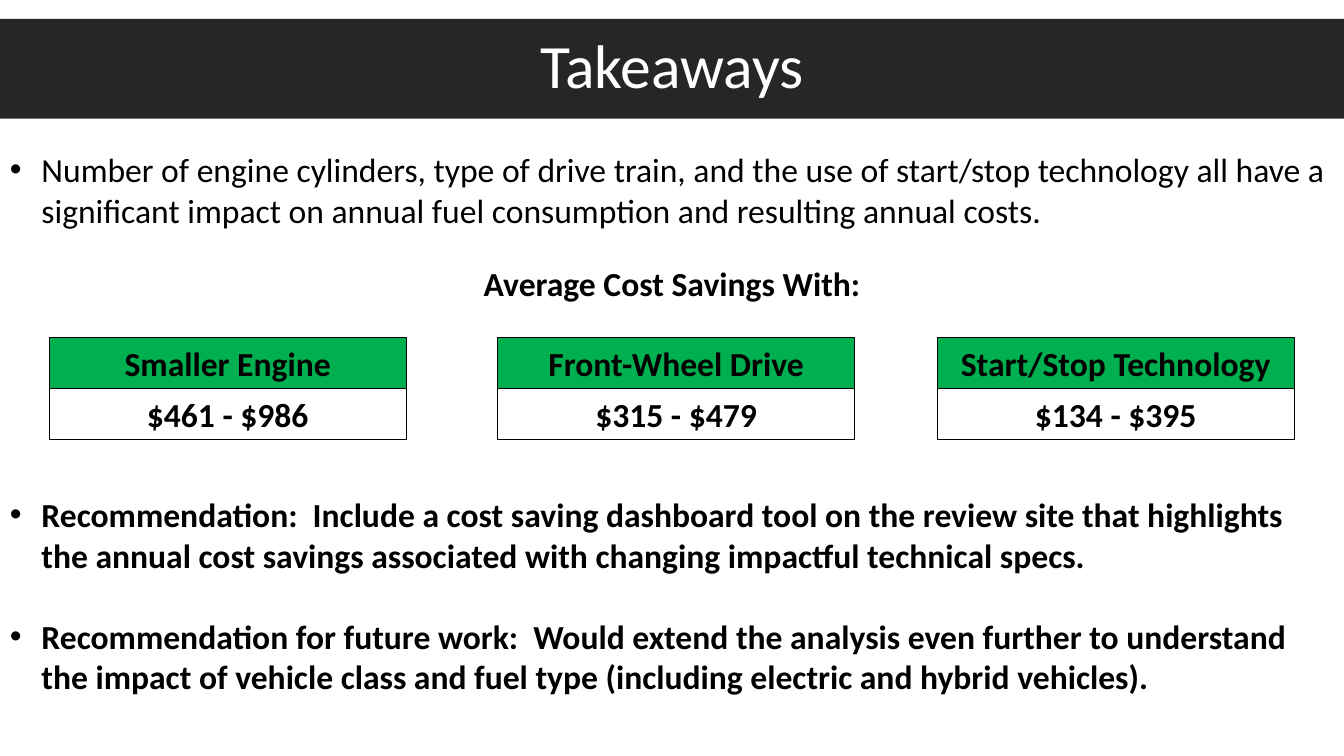
from dataclasses import dataclass

from lxml import etree
from pptx import Presentation
from pptx import util as u
from pptx.dml.color import RGBColor
from pptx.enum import shapes, text
from pptx.oxml import ns


@dataclass(frozen=True)
class Theme:
    font: str = "Calibri"
    title_size: int = 44
    body_size: int = 24
    banner: str = "262626"
    header: str = "00B050"
    ink: str = "000000"
    light: str = "FFFFFF"


THEME = Theme()
SLIDE_WIDTH, SLIDE_HEIGHT = 960, 540
HANGING_INDENT = 22.5
SAVINGS_TOP, SAVINGS_WIDTH, ROW_HEIGHT = 241, 255, 36.35

SAVINGS = [
    (35.2, "Smaller Engine", "$461 - $986"),
    (355.5, "Front-Wheel Drive", "$315 - $479"),
    (669.5, "Start/Stop Technology", "$134 - $395"),
]
FINDING = (
    "Number of engine cylinders, type of drive train, and the use of start/stop "
    "technology all have a significant impact on annual fuel consumption and "
    "resulting annual costs."
)
RECOMMENDATIONS = [
    "Recommendation:  Include a cost saving dashboard tool on the review site that "
    "highlights the annual cost savings associated with changing impactful technical specs.",
    "Recommendation for future work:  Would extend the analysis even further to "
    "understand the impact of vehicle class and fuel type (including electric and "
    "hybrid vehicles).",
]


def apply_format(target, values):
    for name, value in values.items():
        setattr(target, name, value)


def write(paragraph, words, size=THEME.body_size, color=THEME.ink, bold=True, **layout):
    run = paragraph.add_run()
    run.text = words
    apply_format(run.font, {"name": THEME.font, "size": u.Pt(size), "bold": bold})
    run.font.color.rgb = RGBColor.from_string(color)
    apply_format(paragraph, layout)


def add_bullet(paragraph):
    properties = paragraph._p.get_or_add_pPr()
    indent = u.Pt(HANGING_INDENT)
    properties.set("marL", str(indent))
    properties.set("indent", str(-indent))
    etree.SubElement(properties, ns.qn("a:buFont"), typeface="Arial")
    etree.SubElement(properties, ns.qn("a:buChar"), char="•")


def add_text(slide, top, height):
    box = slide.shapes.add_textbox(u.Pt(0), u.Pt(top), u.Pt(SLIDE_WIDTH), u.Pt(height))
    box.text_frame.word_wrap = True
    return box.text_frame


def add_bullets(slide, top, height, items, bold=True, gap=0):
    frame = add_text(slide, top, height)
    for index, words in enumerate(items):
        paragraph = frame.add_paragraph() if index else frame.paragraphs[0]
        write(paragraph, words, bold=bold, space_before=u.Pt(gap if index else 0))
        add_bullet(paragraph)


def add_box(slide, left, top, width, height, words, fill=None, outline=True, **style):
    shape = slide.shapes.add_shape(
        shapes.MSO_SHAPE.RECTANGLE, u.Pt(left), u.Pt(top), u.Pt(width), u.Pt(height)
    )
    shape.shadow.inherit = False
    if fill:
        shape.fill.solid()
        shape.fill.fore_color.rgb = RGBColor.from_string(fill)
    else:
        shape.fill.background()
    if outline:
        shape.line.width = u.Pt(0.75)
        shape.line.color.rgb = RGBColor.from_string(THEME.ink)
    else:
        shape.line.fill.background()
    frame = shape.text_frame
    apply_format(frame, {"word_wrap": True, "vertical_anchor": text.MSO_ANCHOR.MIDDLE})
    write(frame.paragraphs[0], words, alignment=text.PP_ALIGN.CENTER, **style)


def add_saving(slide, left, heading, amount):
    for row, (words, fill) in enumerate([(heading, THEME.header), (amount, None)]):
        top = SAVINGS_TOP + row * ROW_HEIGHT
        add_box(slide, left, top, SAVINGS_WIDTH, ROW_HEIGHT, words, fill)


def main():
    presentation = Presentation()
    apply_format(
        presentation,
        {"slide_width": u.Pt(SLIDE_WIDTH), "slide_height": u.Pt(SLIDE_HEIGHT)},
    )
    slide = presentation.slides.add_slide(presentation.slide_layouts[6])
    add_box(
        slide, 0, 13.5, SLIDE_WIDTH, 71.3, "Takeaways", THEME.banner, outline=False,
        size=THEME.title_size, color=THEME.light, bold=False, line_spacing=0.9,
    )
    add_bullets(slide, 103, 65.5, [FINDING], bold=False)
    subtitle = add_text(slide, 184.5, ROW_HEIGHT)
    write(
        subtitle.paragraphs[0], "Average Cost Savings With:",
        alignment=text.PP_ALIGN.CENTER,
    )
    for left, heading, amount in SAVINGS:
        add_saving(slide, left, heading, amount)
    add_bullets(slide, 349.5, 152.5, RECOMMENDATIONS, gap=29)
    presentation.save("out.pptx")


if __name__ == "__main__":
    main()
